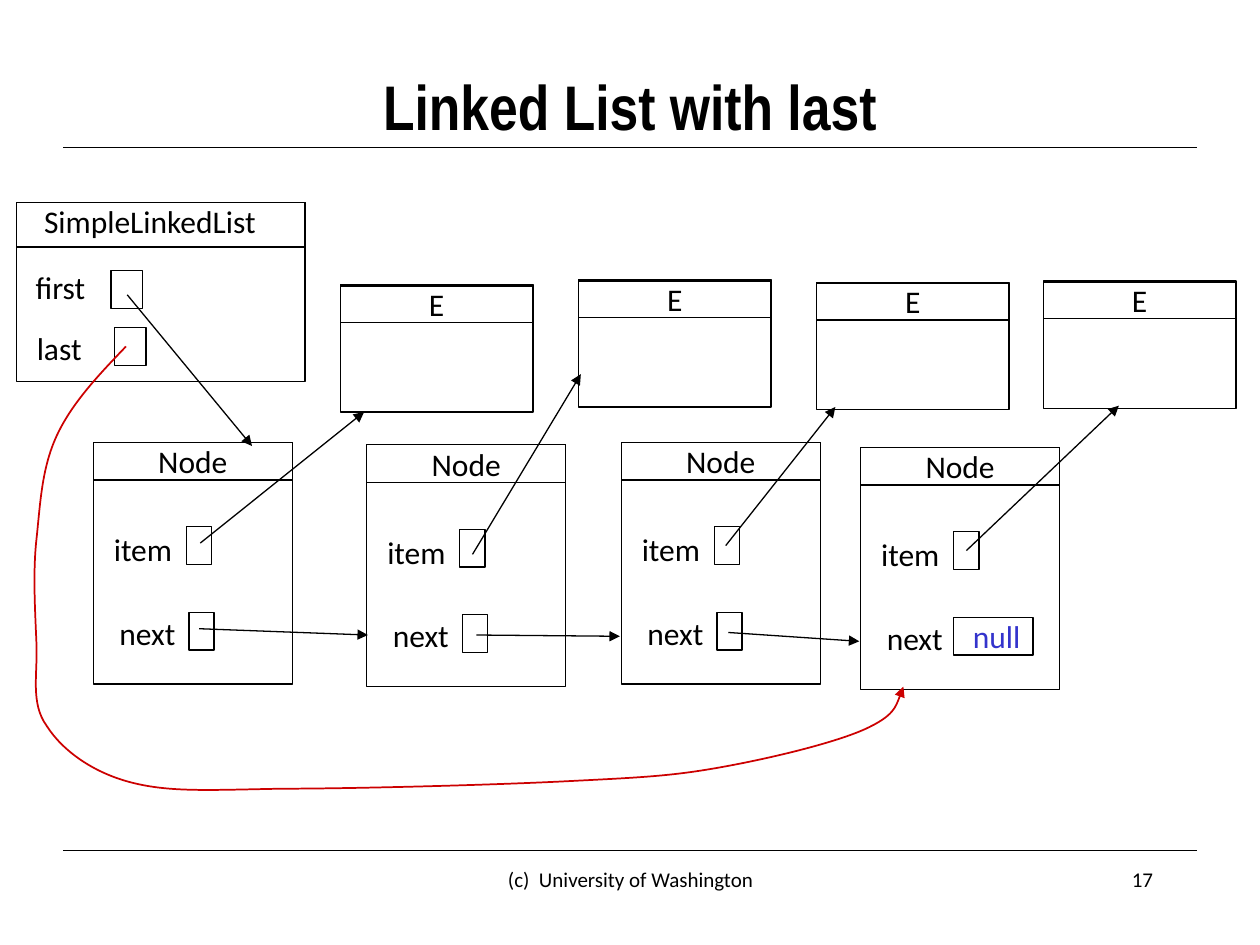
from lxml.etree import SubElement
from pptx import Presentation
from pptx.dml.color import RGBColor
from pptx.enum.shapes import MSO_CONNECTOR, MSO_SHAPE
from pptx.enum.text import MSO_ANCHOR, PP_ALIGN
from pptx.oxml.ns import qn
from pptx.util import Inches, Pt

COLORS = {"ink": "000000", "null": "3333CC", "last": "CC0000"}
LABEL = {"name": "Calibri", "size": Pt(18), "bold": False}
FOOTER = {"name": "Calibri", "size": Pt(12), "bold": False}
TITLE = {"name": "Arial Narrow", "size": Pt(36), "bold": True}
NO_MARGIN = {"margin_left": 0, "margin_right": 0, "margin_top": 0, "margin_bottom": 0}
ROW = 0.3

NODES = [(0.74, 3.51), (2.91, 3.53), (4.93, 3.51), (6.83, 3.55)]
ELEMENTS = [(2.7, 2.26), (4.59, 2.22), (6.48, 2.24), (8.28, 2.23)]
ARROWS = [
    ((1.01, 2.34), (2, 3.54)),
    ((1.59, 4.31), (2.89, 3.27)),
    ((3.75, 4.4), (4.61, 2.97)),
    ((5.76, 4.33), (6.63, 3.23)),
    ((7.67, 4.37), (8.88, 3.22)),
    ((1.58, 4.99), (2.92, 5.04)),
    ((3.78, 5.04), (4.92, 5.05)),
    ((5.78, 5.02), (6.82, 5.09)),
]
LAST_CURVE = [
    (1, 2.75),
    (0.78, 2.98), (0.57, 3.2), (0.45, 3.46),
    (0.33, 3.72), (0.32, 4), (0.29, 4.28),
    (0.26, 4.55), (0.28, 4.86), (0.29, 5.11),
    (0.3, 5.35), (0.24, 5.58), (0.37, 5.76),
    (0.49, 5.95), (0.73, 6.13), (1.04, 6.21),
    (1.35, 6.29), (1.66, 6.27), (2.24, 6.26),
    (2.81, 6.26), (3.93, 6.23), (4.51, 6.2),
    (5.1, 6.17), (5.33, 6.16), (5.72, 6.09),
    (6.11, 6.02), (6.61, 5.9), (6.86, 5.79),
    (7.1, 5.68), (7.13, 5.56), (7.17, 5.45),
]


class Diagram:
    """Draw linked-list elements on the current slide in one style."""

    def __init__(self, slide):
        self.slide = slide
        self.shapes = slide.shapes

    def start_group(self):
        self.shapes = self.slide.shapes.add_group_shape().shapes

    def end_group(self):
        self.shapes = self.slide.shapes

    def fill_text(self, shape, text, style=LABEL, color="ink", align=PP_ALIGN.CENTER,
                  wrap=True, frame_format=NO_MARGIN):
        frame = shape.text_frame
        values = {"word_wrap": wrap, "vertical_anchor": MSO_ANCHOR.TOP, **frame_format}
        for name, value in values.items():
            setattr(frame, name, value)
        paragraph = frame.paragraphs[0]
        paragraph.text = text
        paragraph.alignment = align
        for name, value in style.items():
            setattr(paragraph.font, name, value)
        paragraph.font.color.rgb = RGBColor.from_string(COLORS[color])

    def text(self, left, top, width, height, text, **options):
        shape = self.shapes.add_textbox(*map(Inches, (left, top, width, height)))
        self.fill_text(shape, text, **options)

    def label(self, left, top, width, text):
        self.text(left, top, width, ROW, text, wrap=False)

    def box(self, left, top, width, height=ROW, text=None, **options):
        shape = self.shapes.add_shape(
            MSO_SHAPE.RECTANGLE, *map(Inches, (left, top, width, height)))
        shape.shadow.inherit = False
        shape.fill.background()
        self.outline(shape)
        if text:
            self.fill_text(shape, text, **options)

    def outline(self, shape, color="ink", width=0.75, arrow=False):
        shape.line.color.rgb = RGBColor.from_string(COLORS[color])
        shape.line.width = Pt(width)
        if arrow:
            line = shape._element.spPr.find(qn("a:ln"))
            SubElement(line, qn("a:tailEnd"), type="triangle")

    def line(self, start, end, arrow=False):
        connector = self.shapes.add_connector(
            MSO_CONNECTOR.STRAIGHT, *map(Inches, (*start, *end)))
        self.outline(connector, arrow=arrow)
        SubElement(connector._element.spPr, qn("a:effectLst"))

    def curve(self, points, color):
        start, *controls = [(Inches(x), Inches(y)) for x, y in points]
        builder = self.shapes.build_freeform(*start)
        builder.add_line_segments(controls, close=False)
        shape = builder.convert_to_shape()
        shape.shadow.inherit = False
        shape.fill.background()
        self.outline(shape, color, 1, arrow=True)
        outline_path = next(shape._element.iter(qn("a:path")))
        segments = outline_path.findall(qn("a:lnTo"))
        for index in range(0, len(segments), 3):
            bezier = SubElement(outline_path, qn("a:cubicBezTo"))
            for segment in segments[index:index + 3]:
                bezier.append(segment[0])
                outline_path.remove(segment)

    def node(self, left, top, is_last):
        self.start_group()
        self.box(left, top, 1.58, 1.92)
        self.box(left, top, 1.58, text="Node")
        self.label(left + 0.13, top + 0.7, 0.53, "item")
        self.label(left + 0.17, top + 1.36, 0.52, "next")
        self.box(left + 0.74, top + 0.67, 0.2)
        if is_last:
            self.box(left + 0.74, top + 1.35, 0.63, text="null", color="null",
                     wrap=False, frame_format={**NO_MARGIN, "margin_left": Inches(0.05)})
        else:
            self.box(left + 0.76, top + 1.35, 0.2)
        self.end_group()

    def element(self, left, top):
        self.start_group()
        self.box(left, top, 1.53, text="E")
        self.box(left, top + 0.01, 1.53, 1)
        self.end_group()

    def list_header(self, left, top):
        self.start_group()
        self.box(left, top, 2.29, 1.42)
        self.box(left, top, 2.29, 0.35)
        self.label(left + 0.07, top - 0.01, 1.98, "SimpleLinkedList")
        self.label(left + 0.12, top + 0.52, 0.46, "first")
        self.box(left + 0.75, top + 0.54, 0.25)
        self.label(left + 0.13, top + 1, 0.42, "last")
        self.box(left + 0.78, top + 0.99, 0.25)
        self.end_group()


def main():
    presentation = Presentation()
    presentation.slide_width = Inches(10)
    presentation.slide_height = Inches(7.5)
    slide = presentation.slides.add_slide(presentation.slide_layouts[6])
    diagram = Diagram(slide)

    for top in (1.17, 6.75):
        diagram.line((0.5, top), (9.5, top))
    diagram.text(0.5, 0.5, 9, 0.67, "Linked List with last", style=TITLE,
                 frame_format={"vertical_anchor": MSO_ANCHOR.MIDDLE})

    diagram.list_header(0.13, 1.61)
    for position in ELEMENTS:
        diagram.element(*position)
    for position in NODES:
        diagram.node(*position, is_last=position == NODES[-1])
    for start, end in ARROWS:
        diagram.line(start, end, arrow=True)
    diagram.curve(LAST_CURVE, "last")

    diagram.text(3.42, 6.83, 3.17, 0.5, "(c)  University of Washington",
                 style=FOOTER, frame_format={})
    diagram.text(7.17, 6.83, 2.08, 0.5, "17", style=FOOTER,
                 align=PP_ALIGN.RIGHT, frame_format={})
    presentation.save("out.pptx")


if __name__ == "__main__":
    main()
